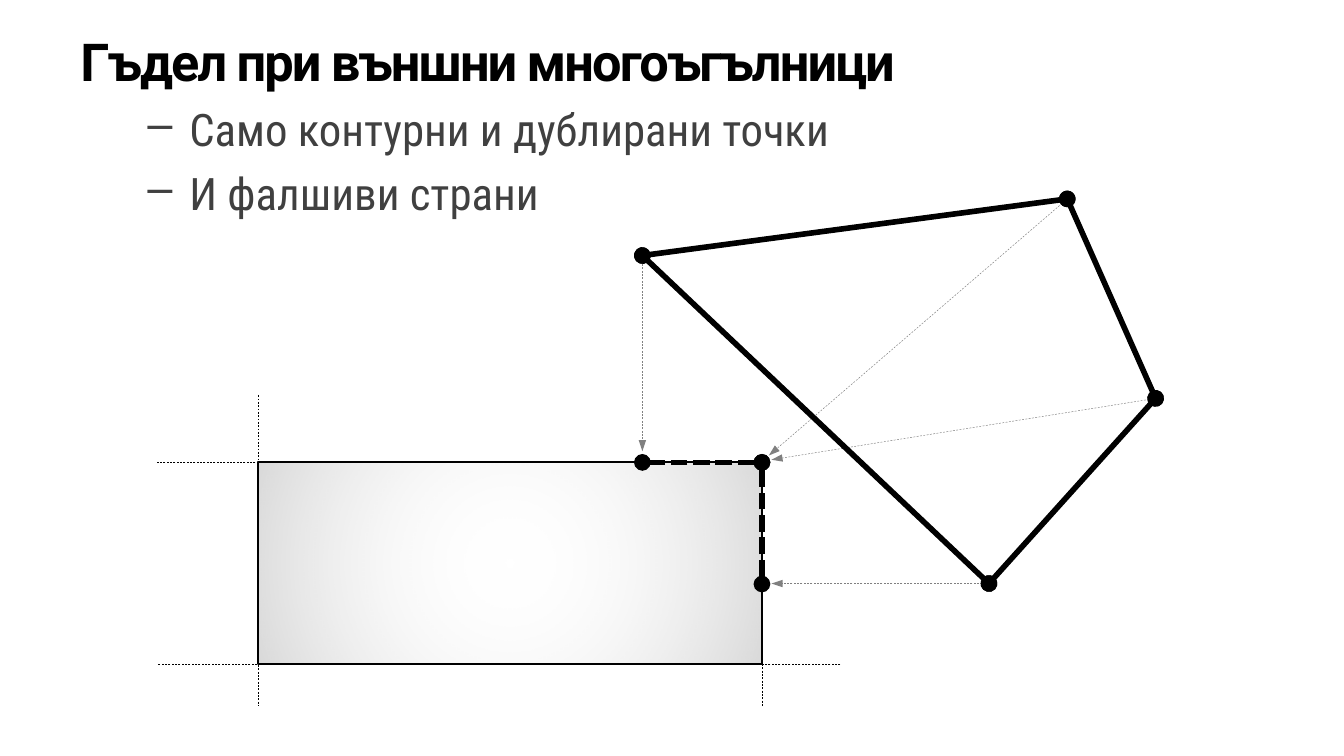
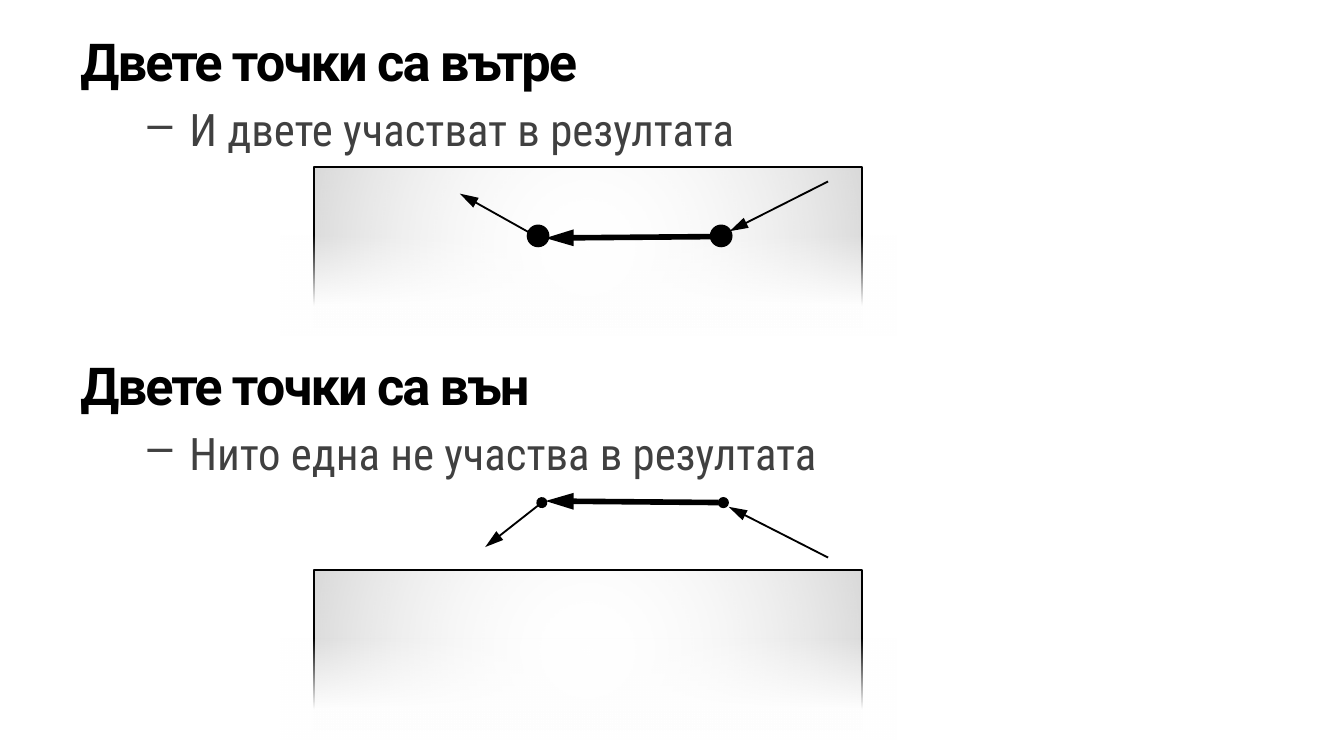
from lxml import etree
from pptx import Presentation
from pptx.dml.color import RGBColor
from pptx.enum.dml import MSO_LINE_DASH_STYLE as Dash
from pptx.enum.shapes import MSO_CONNECTOR as Link, MSO_SHAPE as Shape
from pptx.enum.text import MSO_ANCHOR as Anchor, MSO_AUTO_SIZE as AutoSize, PP_ALIGN as Align
from pptx.oxml import parse_xml
from pptx.oxml.ns import nsdecls, qn
from pptx.util import Cm, Pt

COLORS = {"black": "000000", "text": "404040", "grey": "808080", "white": "FFFFFF"}
HEADING_FONT, BULLET_FONT = "Roboto", "Roboto Condensed"

# Line styles: colour, width in points, dash
GUIDE = ("black", 0.25, Dash.DASH)
PROJECTION = ("grey", 0.25, Dash.DASH)
EDGE = ("black", 3, None)
FALSE_EDGE = ("black", 3, Dash.SQUARE_DOT)
THIN = ("black", 1, None)

# Line ends: type, width, length
DOT = ("oval", "med", "med")
SMALL_DOT = ("oval", "sm", "sm")
SMALL_ARROW = ("triangle", "sm", "med")
LONG_ARROW = ("triangle", "med", "lg")

# Gradients: stops (position, colour, opacity) and direction
GLOW = ([(0, "white", 0), (100, "grey", 30)],
        '<a:path path="circle"><a:fillToRect l="50000" t="50000" r="50000" b="50000"/></a:path>')
FADE_UP = ([(25, "white", 100), (85, "white", 0)], '<a:lin ang="16200000" scaled="0"/>')


def color(name):
    return RGBColor.from_string(COLORS[name])


class Painter:
    """Holds the deck, its style and the current page."""

    def __init__(self):
        self.deck = Presentation()
        self.deck.slide_width, self.deck.slide_height = Cm(25.4), Cm(14.29)
        self.page = None

    def new_page(self):
        self.page = self.deck.slides.add_slide(self.deck.slide_layouts[5])

    def frame(self, box, left, top, width, height):
        box.left, box.top, box.width, box.height = Cm(left), Cm(top), Cm(width), Cm(height)
        frame = box.text_frame
        frame.margin_left = frame.margin_right = frame.margin_top = frame.margin_bottom = 0
        frame.word_wrap = True
        frame.auto_size = AutoSize.NONE
        frame.vertical_anchor = Anchor.TOP
        return frame

    def text_box(self):
        return self.page.shapes.add_textbox(0, 0, 0, 0)

    def font(self, para, name, size, shade, bold):
        para.alignment = Align.LEFT
        para.font.name, para.font.size, para.font.bold = name, Pt(size), bold
        para.font.color.rgb = color(shade)

    def heading(self, box, text, top):
        para = self.frame(box, 1.52, top, 23.6, 1.2).paragraphs[0]
        span = para.add_run()
        span.text = text
        self.font(para, HEADING_FONT, 28, "black", True)
        span.font._element.set("spc", "-100")

    def bullets(self, items, top):
        frame = self.frame(self.text_box(), 1.52, top, 23.6, 1.2 * len(items))
        for index, item in enumerate(items):
            para = frame.add_paragraph() if index else frame.paragraphs[0]
            para.text = item
            props = para._p.get_or_add_pPr()
            props.set("marL", str(Cm(2.06)))
            props.set("indent", str(-Cm(0.79)))
            etree.SubElement(props, qn("a:buChar")).set("char", "–")
            self.font(para, BULLET_FONT, 24, "text", False)
            if index:
                para.space_before = Pt(5.6)

    def section(self, heading, items, top=0.56, title=False):
        box = self.page.shapes.title if title else self.text_box()
        self.heading(box, heading, top)
        self.bullets(items, top + 1.36)

    def shape(self, kind, left, top, width, height, outlined=False):
        shape = self.page.shapes.add_shape(kind, Cm(left), Cm(top), Cm(width), Cm(height))
        shape.shadow.inherit = False
        if outlined:
            shape.line.color.rgb, shape.line.width = color("black"), Pt(1)
        else:
            shape.line.fill.background()
        return shape

    def gradient_box(self, left, top, width, height, gradient, outlined=False):
        shape = self.shape(Shape.RECTANGLE, left, top, width, height, outlined)
        stops, direction = gradient
        marks = "".join(
            f'<a:gs pos="{pos * 1000}"><a:srgbClr val="{COLORS[shade]}">'
            f'<a:alpha val="{opacity * 1000}"/></a:srgbClr></a:gs>'
            for pos, shade, opacity in stops)
        fill = parse_xml(f'<a:gradFill {nsdecls("a")} rotWithShape="1">'
                         f'<a:gsLst>{marks}</a:gsLst>{direction}</a:gradFill>')
        shape.fill.background()
        props = shape._element.spPr
        props.replace(props.find(qn("a:noFill")), fill)

    def disc(self, center, size):
        x, y = center
        shape = self.shape(Shape.OVAL, x - size / 2, y - size / 2, size, size)
        shape.fill.solid()
        shape.fill.fore_color.rgb = color("black")

    def line(self, start, end, style, head=None, tail=None):
        shade, width, dash = style
        line = self.page.shapes.add_connector(Link.STRAIGHT, *map(Cm, start + end))
        line.line.color.rgb, line.line.width = color(shade), Pt(width)
        if dash:
            line.line.dash_style = dash
        outline = line.line._get_or_add_ln()
        for tag, tip in (("a:headEnd", head), ("a:tailEnd", tail)):
            if tip:
                mark = etree.SubElement(outline, qn(tag))
                for key, value in zip(("type", "w", "len"), tip):
                    mark.set(key, value)
        etree.SubElement(line._element.spPr, qn("a:effectLst"))


def outer_polygons(painter):
    painter.new_page()
    painter.section("Гъдел при външни многоъгълници",
                    ["Само контурни и дублирани точки", "И фалшиви страни"], title=True)

    # Clipping window with its guide lines
    left, top, right, bottom = 4.88, 8.74, 14.4, 12.55
    for start, end in [((left, 7.47), (left, 13.34)), ((right, bottom), (right, 13.34)),
                       ((15.88, bottom), (2.97, bottom)), ((right, top), (2.97, top))]:
        painter.line(start, end, GUIDE)
    painter.gradient_box(left, top, right - left, bottom - top, GLOW, outlined=True)

    # Projections of the vertices onto the window
    west, north, east, south = (12.14, 4.83), (20.17, 3.76), (21.84, 7.53), (18.69, 11.03)
    for start, end in [((12.14, 4.93), (12.14, 8.53)), (north, (14.53, 8.61)),
                       (east, (14.58, 8.69)), (south, (14.58, 11.03))]:
        painter.line(start, end, PROJECTION, tail=SMALL_ARROW)

    # False sides along the window, then the polygon
    corner = (right, top)
    for start, end in [(corner, (12.14, top)), ((right, 11.04), corner)]:
        painter.line(start, end, FALSE_EDGE, DOT, DOT)
    for start, end in [(north, west), (south, west), (east, south), (east, north)]:
        painter.line(start, end, EDGE, DOT, DOT)


def point_pairs(painter):
    painter.new_page()
    painter.section("Двете точки са вътре", ["И двете участват в резултата"], title=True)
    painter.section("Двете точки са вън", ["Нито една не участва в резултата"], top=6.68)

    # Windows that fade out downwards
    for drop in (0, 7.62):
        painter.gradient_box(5.93, 3.16 + drop, 10.36, 3.02, GLOW, outlined=True)
        painter.gradient_box(5.31, 4.11 + drop, 11.63, 2.24, FADE_UP)

    # Both points inside
    painter.line((13.79, 4.37), (15.65, 3.43), THIN, LONG_ARROW)
    painter.line((8.69, 3.66), (10.19, 4.5), THIN, LONG_ARROW)
    painter.line((10.31, 4.5), (13.67, 4.47), EDGE, LONG_ARROW, SMALL_DOT)
    for x in (10.17, 13.63):
        painter.disc((x, 4.46), 0.43)

    # Both points outside
    painter.line((13.77, 9.58), (15.65, 10.54), THIN, LONG_ARROW)
    painter.line((9.17, 10.34), (10.24, 9.5), THIN, LONG_ARROW, DOT)
    painter.line((10.31, 9.47), (13.67, 9.5), EDGE, LONG_ARROW, SMALL_DOT)


def main():
    painter = Painter()
    outer_polygons(painter)
    point_pairs(painter)
    painter.deck.save("out.pptx")


if __name__ == "__main__":
    main()
